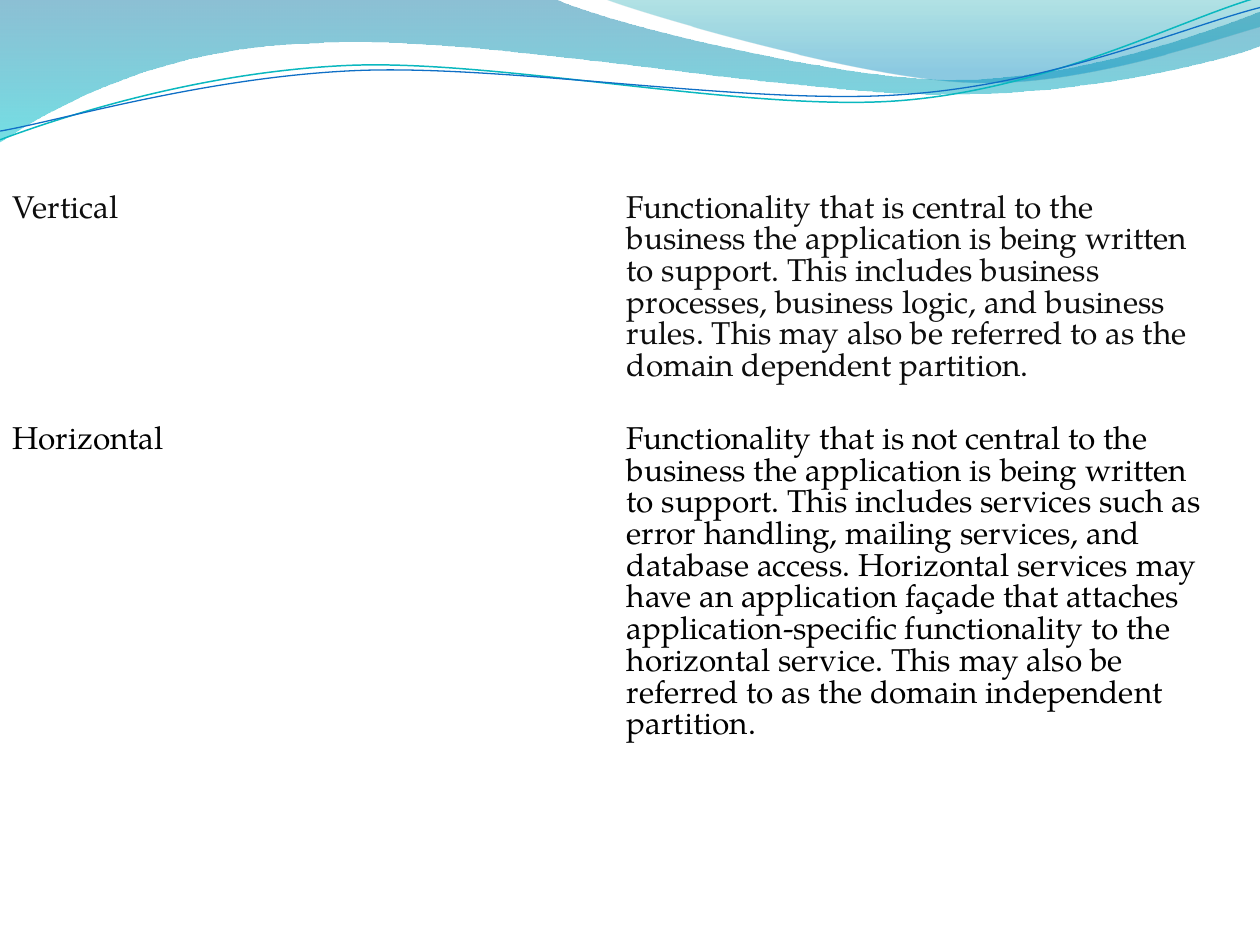
from lxml.etree import SubElement
from pptx import Presentation
from pptx.dml.color import RGBColor as RGB
from pptx.oxml.ns import qn
from pptx.util import Pt

COLORS = {
    "deep": "0074A1", "aqua": "00C6CF", "teal": "00A1A9", "sky": "008BBF",
    "teal_line": "0AB8BF", "blue_line": "0F6FC6",
    "vertical": "0D0D0D", "horizontal": "000000",
}
FONT = "TeX Gyre Pagella"


def add_path(slide, start, segments, close):
    """Draw a path: segments of 2 numbers are lines, of 6 are Bezier curves."""
    points = [(Pt(seg[i]), Pt(seg[i + 1]))
              for seg in segments for i in range(0, len(seg), 2)]
    builder = slide.shapes.build_freeform(Pt(start[0]), Pt(start[1]))
    builder.add_line_segments(points, close=close)
    sp = builder.convert_to_shape()
    sp.shadow.inherit = False

    # Join each three points of a curve into one cubic segment
    path = next(sp._element.iter(qn("a:path")))
    steps = iter(path.findall(qn("a:lnTo")))
    for seg in segments:
        step = next(steps)
        if len(seg) == 6:
            step_index = path.index(step)
            curve = SubElement(path, qn("a:cubicBezTo"))
            path.insert(step_index, curve)
            for node in (step, next(steps), next(steps)):
                curve.append(node[0])
                path.remove(node)
    return sp


prs = Presentation()
prs.slide_width, prs.slide_height = Pt(720), Pt(540)
s = prs.slides.add_slide(prs.slide_layouts[6])

# Translucent waves: start, segments, gradient stops (position, colour, opacity %)
waves = [
    ((0, 0), [
        (316.8, -0.7),
        (342.7, 12.2, 478.1, 45.4, 545.8, 45.4),
        (614.2, 45.4, 689.8, 18.7, 720, 6.5),
        (720.7, 25.9),
        (707.8, 31.7, 626.4, 54.7, 537.1, 54),
        (447.8, 54, 275, 20.2, 185, 24.5),
        (92.9, 25.9, 33.1, 59.8, -0.7, 81.4),
    ], [(0, "deep", 45), (1, "aqua", 55)]),
    ((344.9, -0.7), [
        (366.5, 7.9, 491, 44.6, 553.7, 46.8),
        (616.3, 49.7, 691.9, 23, 720, 15.1),
        (720, 0),
    ], [(0, "teal", 30), (0.8, "sky", 45)]),
]
for start, segments, stops in waves:
    sp = add_path(s, start, segments, True)
    sp.line.fill.background()
    sp.fill.gradient()
    sp.fill.gradient_angle = 270
    for stop, (position, color, _) in zip(sp.fill.gradient_stops, stops):
        stop.position = position
        stop.color.rgb = RGB.from_string(COLORS[color])
    for node, (_, _, opacity) in zip(sp._element.spPr.iter(qn("a:srgbClr")), stops):
        SubElement(node, qn("a:alpha")).set("val", str(opacity * 1000))

# Thin wave lines
wave_lines = [
    ((0, 79.9), [
        (34.6, 67, 113.8, 41, 199.4, 37.4),
        (284.4, 33.8, 427, 64.1, 513.4, 57.6),
        (599.8, 51.1, 675.4, 10.8, 718.6, -1.4),
    ], "teal_line", 0.85),
    ((0, 74.9), [
        (33.8, 69.1, 118.1, 43.9, 203.8, 40.3),
        (290.2, 36.7, 429.8, 60.5, 516.2, 54),
        (601.9, 48.2, 677.5, 15.1, 720, 4.3),
    ], "blue_line", 0.75),
]
for start, segments, color, width in wave_lines:
    sp = add_path(s, start, segments, False)
    sp.fill.background()
    sp.line.color.rgb = RGB.from_string(COLORS[color])
    sp.line.width = Pt(width)

# Table of partitions; the last row is empty
rows = [
    ("Vertical",
     "Functionality that is central to the business the application is being "
     "written to support. This includes business processes, business logic, and "
     "business rules. This may also be referred to as the domain dependent "
     "partition.", "vertical", 132.2),
    ("Horizontal",
     "Functionality that is not central to the business the application is being "
     "written to support. This includes services such as error handling, mailing "
     "services, and database access. Horizontal services may have an application "
     "façade that attaches application-specific functionality to the horizontal "
     "service. This may also be referred to as the domain independent partition.",
     "horizontal", 216),
    ("", "", "horizontal", 54),
]
table = s.shapes.add_table(len(rows), 2, Pt(0), Pt(108), Pt(702), Pt(402.2)).table
table.horz_banding = False
for column in table.columns:
    column.width = Pt(351)
for i, (name, description, color, height) in enumerate(rows):
    table.rows[i].height = Pt(height)
    for j, text in enumerate((name, description)):
        cell = table.cell(i, j)
        cell.fill.background()
        if not text:
            continue
        p = cell.text_frame.paragraphs[0]
        p.line_spacing = Pt(18.1)
        r = p.add_run()
        r.text = text
        r.font.name = FONT
        r.font.size = Pt(18)
        r.font.bold = False
        r.font.color.rgb = RGB.from_string(COLORS[color])

prs.save("out.pptx")
